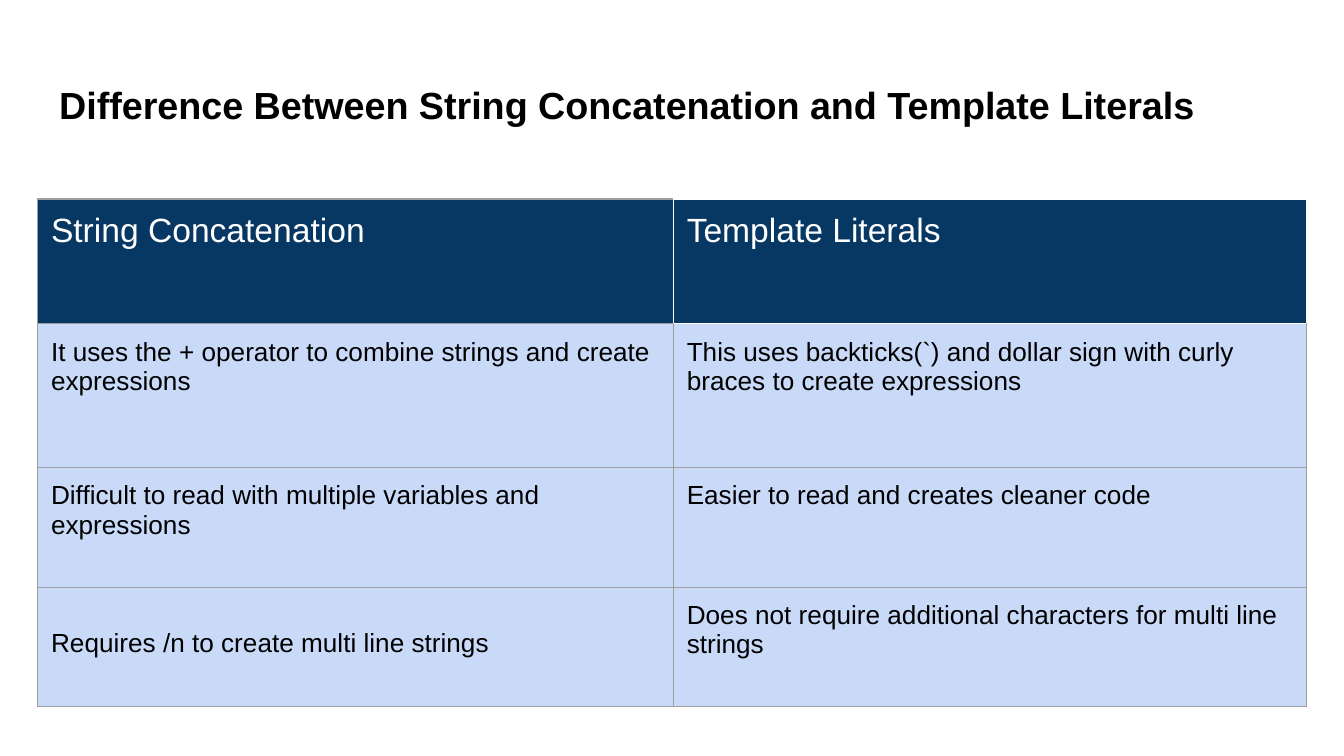
import lxml.etree
import pptx
import pptx.dml.color
import pptx.enum.text
import pptx.oxml.ns
import pptx.util

Inches = pptx.util.Inches
Pt = pptx.util.Pt
RGBColor = pptx.dml.color.RGBColor

BLACK = RGBColor(0x00, 0x00, 0x00)
WHITE = RGBColor(0xFF, 0xFF, 0xFF)
NAVY = RGBColor(0x07, 0x37, 0x63)
PALE_BLUE = RGBColor(0xC9, 0xDA, 0xF8)
GRAY = RGBColor(0x9E, 0x9E, 0x9E)

TITLE_FONT = {"name": "Arial", "size": Pt(20.2), "bold": True}
HEADER_FONT = {"name": "Arial", "size": Pt(18), "bold": False}
BODY_FONT = {"name": "Arial", "size": Pt(14), "bold": False}
MARGINS = {f"margin_{side}": Inches(0.1) for side in ("left", "top", "right", "bottom")}

SLIDE_WIDTH = 10
TITLE = "Difference Between String Concatenation and Template Literals"
COLUMN_WIDTHS = (4.73, 4.71)
ROW_HEIGHTS = (0.93, 1.07, 0.89, 0.89)
ROWS = (
    ("String Concatenation", "Template Literals"),
    ("It uses the + operator to combine strings and create expressions",
     "This uses backticks(`) and dollar sign with curly braces to create expressions"),
    ("Difficult to read with multiple variables and expressions",
     "Easier to read and creates cleaner code"),
    ("Requires /n to create multi line strings",
     "Does not require additional characters for multi line strings"),
)
# Cell edges, by (row, column), that are white instead of gray
WHITE_EDGES = {(0, 0): "R", (0, 1): "LRTB", (1, 1): "T"}


def set_attributes(target, values):
    for name, value in values.items():
        setattr(target, name, value)


def format_text(paragraph, font_values, color):
    set_attributes(paragraph.font, font_values)
    paragraph.font.color.rgb = color
    paragraph.alignment = pptx.enum.text.PP_ALIGN.LEFT


def set_borders(cell, white_edges):
    properties = cell._tc.get_or_add_tcPr()
    qn = pptx.oxml.ns.qn
    for edge in "LRTB":
        line = lxml.etree.SubElement(properties, qn(f"a:ln{edge}"), w=str(Pt(0.75)))
        fill = lxml.etree.SubElement(line, qn("a:solidFill"))
        color = WHITE if edge in white_edges else GRAY
        lxml.etree.SubElement(fill, qn("a:srgbClr"), val=str(color))


def add_title(slide, left, top, width, height):
    title = slide.shapes.title
    set_attributes(title, {"left": Inches(left), "top": Inches(top),
                           "width": Inches(width), "height": Inches(height)})
    text_frame = title.text_frame
    set_attributes(text_frame, MARGINS | {
        "text": TITLE, "word_wrap": True, "margin_bottom": Inches(0.14),
        "auto_size": pptx.enum.text.MSO_AUTO_SIZE.NONE,
        "vertical_anchor": pptx.enum.text.MSO_ANCHOR.MIDDLE})
    format_text(text_frame.paragraphs[0], TITLE_FONT, BLACK)


def add_comparison_table(slide, left, top):
    table = slide.shapes.add_table(
        len(ROWS), len(COLUMN_WIDTHS), Inches(left), Inches(top),
        Inches(sum(COLUMN_WIDTHS)), Inches(sum(ROW_HEIGHTS))).table
    set_attributes(table, {"first_row": False, "horz_banding": False})
    for column, width in zip(table.columns, COLUMN_WIDTHS):
        column.width = Inches(width)
    for row, height in zip(table.rows, ROW_HEIGHTS):
        row.height = Inches(height)

    for row_index, texts in enumerate(ROWS):
        is_header = row_index == 0
        for column_index, text in enumerate(texts):
            cell = table.cell(row_index, column_index)
            set_attributes(cell, MARGINS | {"text": text})
            set_borders(cell, WHITE_EDGES.get((row_index, column_index), ""))
            cell.fill.solid()
            cell.fill.fore_color.rgb = NAVY if is_header else PALE_BLUE
            format_text(cell.text_frame.paragraphs[0],
                        HEADER_FONT if is_header else BODY_FONT,
                        WHITE if is_header else BLACK)

    # The last left-hand entry sits one line lower
    table.cell(len(ROWS) - 1, 0).margin_top = Inches(0.31)


def main():
    presentation = pptx.Presentation()
    # Widescreen, 16:9
    presentation.slide_width = Inches(SLIDE_WIDTH)
    presentation.slide_height = Inches(SLIDE_WIDTH * 9 / 16)
    slide = presentation.slides.add_slide(presentation.slide_layouts[5])
    add_title(slide, 0.34, 0.48, 9.38, 0.63)
    add_comparison_table(slide, 0.28, 1.48)
    presentation.save("out.pptx")


if __name__ == "__main__":
    main()
